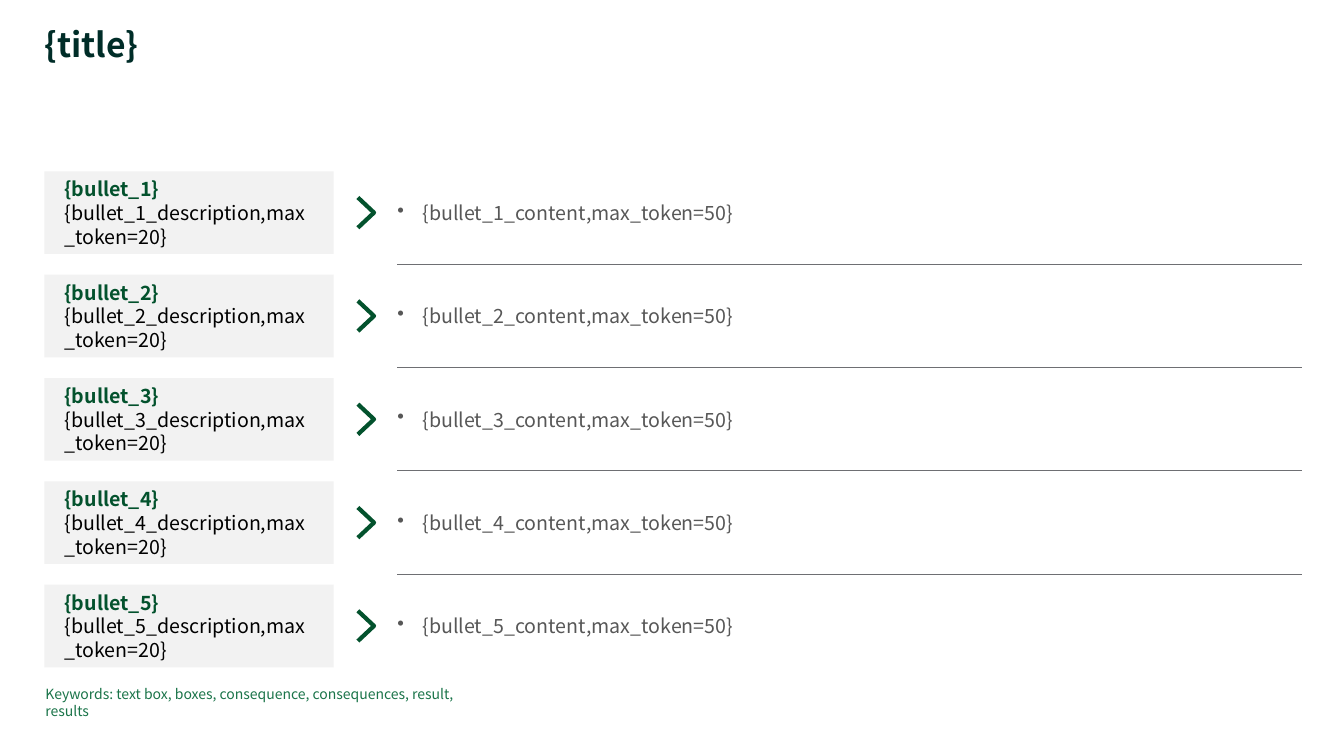
from dataclasses import dataclass

from lxml import etree
from pptx import Presentation
from pptx import util as u
from pptx.dml.color import RGBColor
from pptx.enum import shapes, text
from pptx.oxml import ns

FONT = "Noto Sans CJK JP"
DARK = RGBColor(0x00, 0x2D, 0x28)
GREEN = RGBColor(0x03, 0x52, 0x2D)
LEAF = RGBColor(0x1A, 0x74, 0x49)
BLACK = RGBColor(0x00, 0x00, 0x00)
GREY = RGBColor(0x57, 0x57, 0x57)
RULE = RGBColor(0x6E, 0x6F, 0x73)
PALE = RGBColor(0xF2, 0xF2, 0xF2)

COUNT = 5
TOP, PITCH, HEIGHT = 1.7, 1.025, 0.82
LEFT, WIDTH = 0.44, 2.87
BODY, RIGHT = 3.94, 12.91


@dataclass
class Row:
    head: str
    note: str
    body: str
    top: float


def style(para, size: float, color: RGBColor, bold: bool = False) -> None:
    para.alignment = text.PP_ALIGN.LEFT
    para.font.name = FONT
    para.font.size = u.Pt(size)
    para.font.color.rgb = color
    para.font.bold = bold


def setup(frame, side: float = 0, edge: float = 0) -> None:
    frame.word_wrap = True
    frame.margin_left = frame.margin_right = u.Inches(side)
    frame.margin_top = frame.margin_bottom = u.Inches(edge)


def label(slide, words: str, left: float, top: float, width: float, height: float):
    frame = slide.shapes.add_textbox(
        u.Inches(left), u.Inches(top), u.Inches(width), u.Inches(height)).text_frame
    setup(frame)
    frame.text = words
    return frame


def card(slide, row: Row) -> None:
    box = slide.shapes.add_shape(
        shapes.MSO_SHAPE.RECTANGLE, u.Inches(LEFT), u.Inches(row.top),
        u.Inches(WIDTH), u.Inches(HEIGHT))
    box.shadow.inherit = False
    box.fill.solid()
    box.fill.fore_color.rgb = PALE
    box.line.fill.background()
    frame = box.text_frame
    setup(frame, 0.2, 0.16)
    frame.vertical_anchor = text.MSO_ANCHOR.MIDDLE
    frame.text = row.head
    style(frame.paragraphs[0], 14, GREEN, True)
    note = frame.add_paragraph()
    note.text = row.note
    style(note, 14, BLACK)


def arrow(slide, row: Row) -> None:
    left, mid = 3.55, row.top + HEIGHT / 2
    pen = slide.shapes.build_freeform(
        u.Inches(left), u.Inches(mid - 0.15))
    pen.add_line_segments(
        [(u.Inches(left + 0.16), u.Inches(mid)),
         (u.Inches(left), u.Inches(mid + 0.15))], close=False)
    mark = pen.convert_to_shape()
    mark.shadow.inherit = False
    mark.fill.background()
    mark.line.color.rgb = GREEN
    mark.line.width = u.Pt(3)


def point(slide, row: Row) -> None:
    frame = label(slide, row.body, BODY, row.top, 4.25, HEIGHT)
    frame.vertical_anchor = text.MSO_ANCHOR.MIDDLE
    para = frame.paragraphs[0]
    props = para._p.get_or_add_pPr()
    props.set("marL", str(u.Inches(0.25)))
    props.set("indent", str(u.Inches(-0.25)))
    etree.SubElement(props, ns.qn("a:buChar"), char="•")
    style(para, 14, GREY)


def rule(slide, row: Row) -> None:
    y = u.Inches(row.top + (HEIGHT + PITCH) / 2)
    line = slide.shapes.add_connector(
        shapes.MSO_CONNECTOR.STRAIGHT, u.Inches(BODY), y, u.Inches(RIGHT), y)
    line.line.color.rgb = RULE
    line.line.width = u.Pt(0.75)
    etree.SubElement(line._element.spPr, ns.qn("a:effectLst"))


def main() -> None:
    deck = Presentation()
    deck.slide_width, deck.slide_height = u.Inches(13.33), u.Inches(7.5)
    slide = deck.slides.add_slide(deck.slide_layouts[6])

    # Title
    title = label(slide, "{title}", LEFT, 0.28, 11.03, 0.37).paragraphs[0]
    title.line_spacing = 0.9
    style(title, 24, DARK, True)

    # Rows, with a rule between each pair
    rows = [Row(f"{{bullet_{n}}}", f"{{bullet_{n}_description,max_token=20}}",
                f"{{bullet_{n}_content,max_token=50}}", TOP + (n - 1) * PITCH)
            for n in range(1, COUNT + 1)]
    for row in rows:
        card(slide, row)
        arrow(slide, row)
        point(slide, row)
    for row in rows[:-1]:
        rule(slide, row)

    # Keywords
    words = "Keywords: text box, boxes, consequence, consequences, result, results"
    style(label(slide, words, 0.45, 6.8, 4.41, 0.17).paragraphs[0], 10, LEAF)

    deck.save("out.pptx")


if __name__ == "__main__":
    main()
